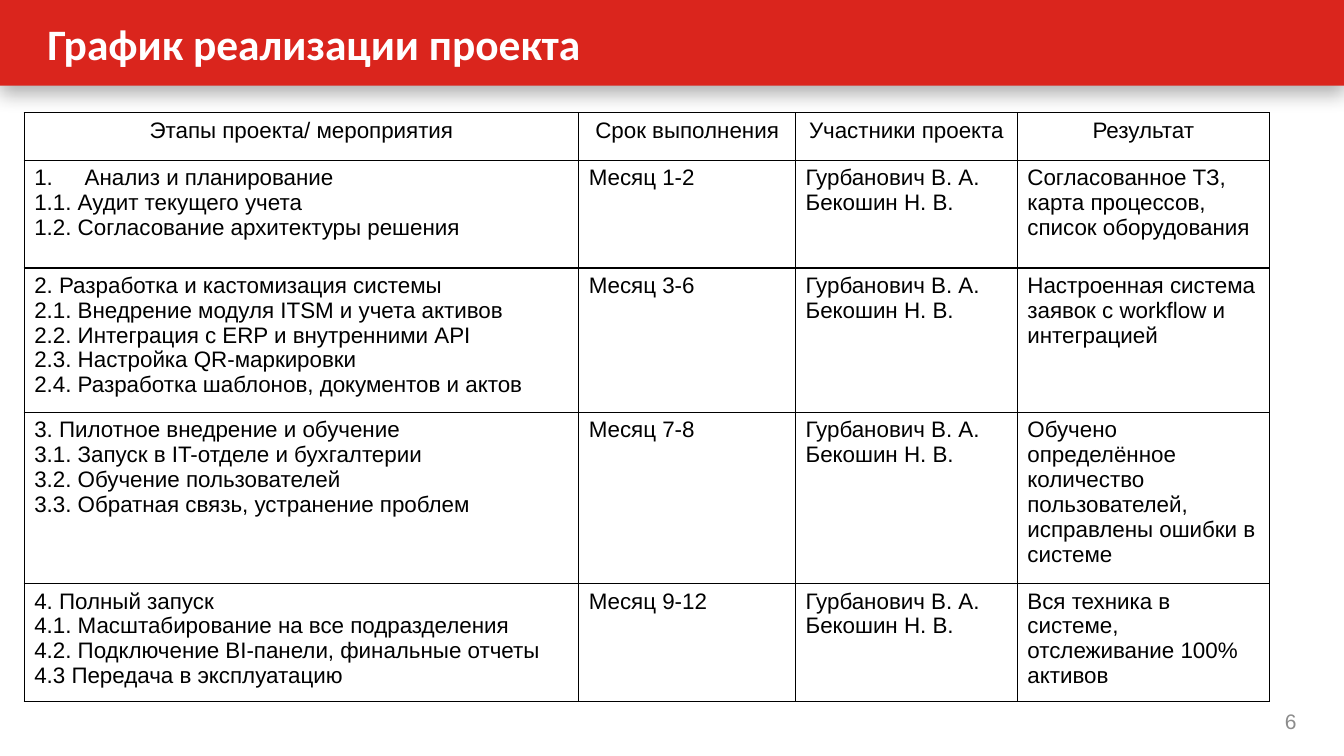
from lxml.etree import SubElement
from pptx import Presentation
from pptx.dml.color import RGBColor
from pptx.enum.shapes import MSO_SHAPE
from pptx.enum.text import MSO_ANCHOR, PP_ALIGN
from pptx.oxml.ns import qn
from pptx.util import Inches, Pt

RED = RGBColor(0xDA, 0x25, 0x1D)
WHITE = RGBColor(0xFF, 0xFF, 0xFF)
BLACK = RGBColor(0, 0, 0)
GRAY = RGBColor(0x8C, 0x8C, 0x8C)

TITLE = "График реализации проекта"
PAGE = "6"
HEADINGS = ["Этапы проекта/ мероприятия", "Срок выполнения", "Участники проекта", "Результат"]
TEAM = ["Гурбанович В. А.", "Бекошин Н. В."]
# Lines of the stage, its months, its result
STAGES = [
    (["Анализ и планирование",
      "1.1. Аудит текущего учета",
      "1.2. Согласование архитектуры решения"],
     "Месяц 1-2", "Согласованное ТЗ, карта процессов, список оборудования"),
    (["2. Разработка и кастомизация системы",
      "2.1. Внедрение модуля ITSM и учета активов",
      "2.2. Интеграция с ERP и внутренними API",
      "2.3. Настройка QR-маркировки",
      "2.4. Разработка шаблонов, документов и актов"],
     "Месяц 3-6", "Настроенная система заявок с workflow и интеграцией"),
    (["3. Пилотное внедрение и обучение",
      "3.1. Запуск в IT-отделе и бухгалтерии",
      "3.2. Обучение пользователей",
      "3.3. Обратная связь, устранение проблем"],
     "Месяц 7-8",
     "Обучено определённое количество пользователей, исправлены ошибки в системе"),
    (["4. Полный запуск",
      "4.1. Масштабирование на все подразделения",
      "4.2. Подключение BI-панели, финальные отчеты",
      "4.3 Передача в эксплуатацию"],
     "Месяц 9-12", "Вся техника в системе, отслеживание 100% активов"),
]

SLIDE_W, SLIDE_H = 13.33, 7.5
BANNER_H = 0.85
TABLE_LEFT, TABLE_TOP = 0.24, 1.12
COLUMNS = [5.5, 2.15, 2.2, 2.5]
ROWS = [0.47, 1.07, 1.34, 1.58, 1.09]

TITLE_FONT = {"name": "Calibri", "size": Pt(31), "bold": True}
PAGE_FONT = {"name": "Arial", "size": Pt(15)}
CELL_FONT = {"name": "Arial", "size": Pt(16), "bold": False}
TEXT_INSETS = {"margin_left": Inches(0.13), "margin_right": Inches(0.13),
               "margin_top": Inches(0.06), "margin_bottom": Inches(0.06),
               "word_wrap": True, "vertical_anchor": MSO_ANCHOR.MIDDLE}


def apply(target, values):
    for key, value in values.items():
        setattr(target, key, value)


def write(frame, lines, font, color, align=PP_ALIGN.LEFT):
    for index, line in enumerate(lines):
        paragraph = frame.paragraphs[0] if index == 0 else frame.add_paragraph()
        paragraph.alignment = align
        run = paragraph.add_run()
        run.text = line
        apply(run.font, font)
        run.font.color.rgb = color


def add_label(slide, box, text, font, color, align):
    frame = slide.shapes.add_textbox(*map(Inches, box)).text_frame
    apply(frame, TEXT_INSETS)
    write(frame, [text], font, color, align)


def add_color(parent, color):
    return SubElement(SubElement(parent, qn("a:solidFill")), qn("a:srgbClr"), val=str(color))


def add_banner(slide):
    banner = slide.shapes.add_shape(MSO_SHAPE.RECTANGLE, 0, 0, Inches(SLIDE_W), Inches(BANNER_H))
    banner.fill.solid()
    banner.fill.fore_color.rgb = RED
    banner.line.fill.background()
    banner.shadow.inherit = False
    effects = banner.element.spPr.find(qn("a:effectLst"))
    shadow = SubElement(effects, qn("a:outerShdw"), blurRad=str(Pt(14)), dist=str(Pt(5)),
                        dir=str(90 * 60000), algn="t", rotWithShape="0")
    shade = SubElement(shadow, qn("a:srgbClr"), val=str(BLACK))
    SubElement(shade, qn("a:alpha"), val="31000")


def outline(cell):
    properties = cell._tc.get_or_add_tcPr()
    for side in ("lnL", "lnR", "lnT", "lnB"):
        add_color(SubElement(properties, qn(f"a:{side}"), w=str(Pt(1))), BLACK)
    cell.fill.background()


def number(paragraph):
    """Turn the paragraph into an item of a numbered list."""
    properties = paragraph._p.get_or_add_pPr()
    properties.set("marL", str(Inches(0.5)))
    properties.set("indent", str(Inches(-0.5)))
    SubElement(properties, qn("a:buFont"), typeface="+mj-lt")
    SubElement(properties, qn("a:buAutoNum"), type="arabicPeriod")


def add_schedule(slide):
    grid = [[[heading] for heading in HEADINGS]]
    grid += [[steps, [months], TEAM, [result]] for steps, months, result in STAGES]
    schedule = slide.shapes.add_table(
        len(ROWS), len(COLUMNS), Inches(TABLE_LEFT), Inches(TABLE_TOP),
        Inches(sum(COLUMNS)), Inches(sum(ROWS))).table
    apply(schedule, {"first_row": False, "horz_banding": False})
    for column, width in zip(schedule.columns, COLUMNS):
        column.width = Inches(width)
    for row, height in zip(schedule.rows, ROWS):
        row.height = Inches(height)
    for r, row_lines in enumerate(grid):
        align = PP_ALIGN.LEFT if r else PP_ALIGN.CENTER
        for c, lines in enumerate(row_lines):
            cell = schedule.cell(r, c)
            outline(cell)
            write(cell.text_frame, lines, CELL_FONT, BLACK, align)
    number(schedule.cell(1, 0).text_frame.paragraphs[0])


def main():
    deck = Presentation()
    deck.slide_width, deck.slide_height = Inches(SLIDE_W), Inches(SLIDE_H)
    slide = deck.slides.add_slide(deck.slide_layouts[6])
    add_banner(slide)
    add_label(slide, (0.34, 0, 12.16, BANNER_H), TITLE, TITLE_FONT, WHITE, PP_ALIGN.LEFT)
    add_label(slide, (12.16, 6.95, 0.83, 0.4), PAGE, PAGE_FONT, GRAY, PP_ALIGN.RIGHT)
    add_schedule(slide)
    deck.save("out.pptx")


if __name__ == "__main__":
    main()
